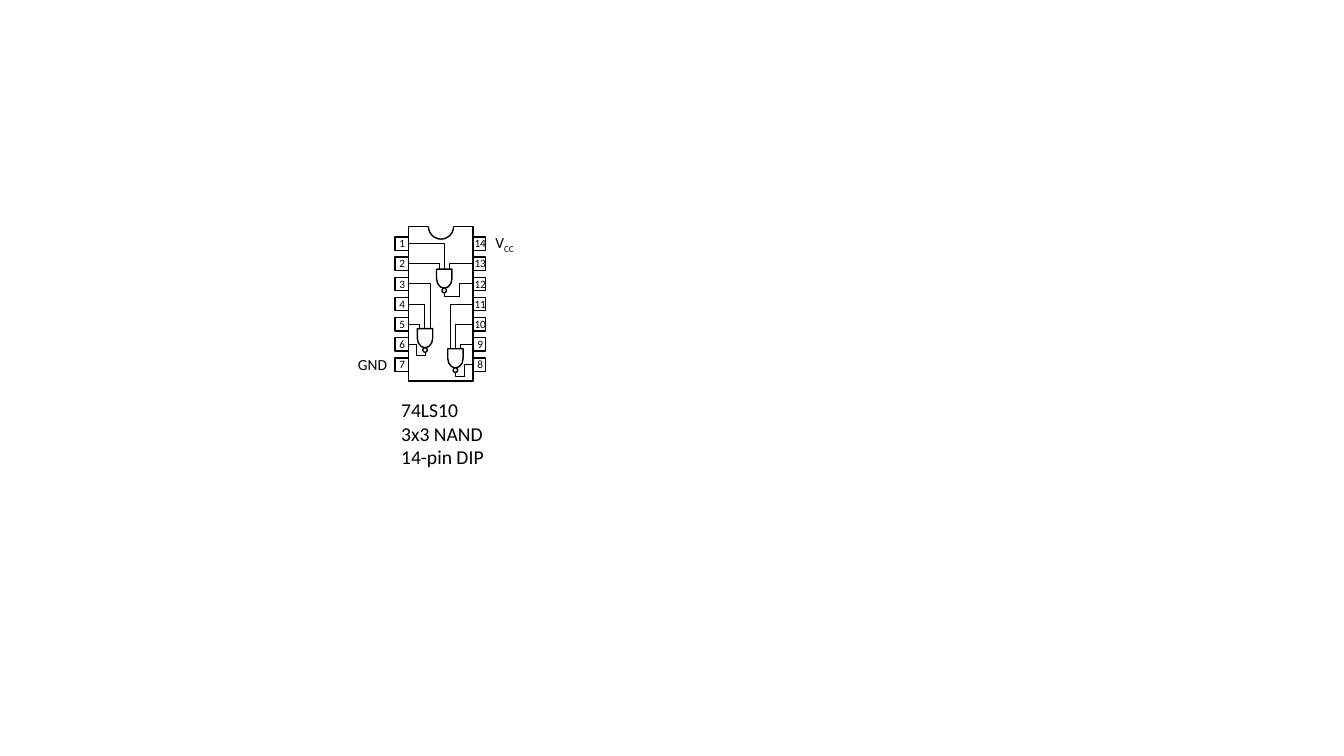
import pptx
import pptx.dml.color
import pptx.enum.shapes
import pptx.enum.text
import pptx.util

Pt = pptx.util.Pt
SHAPE = pptx.enum.shapes.MSO_SHAPE
ALIGN = pptx.enum.text.PP_ALIGN
BLACK = pptx.dml.color.RGBColor(0x00, 0x00, 0x00)
WHITE = pptx.dml.color.RGBColor(0xFF, 0xFF, 0xFF)

PINS_PER_SIDE = 7
PIN_PITCH = 14.4
FIRST_PIN_Y = 174
PIN_HEIGHT = 9.6
BODY_LEFT, BODY_RIGHT = 291.6, 337.8
NOTCH_X = 306
NOTCH_SIZE = 18


def add_outlined(parent, kind, left, top, width, height, fill=WHITE, line=BLACK):
    shape = parent.shapes.add_shape(kind, Pt(left), Pt(top), Pt(width), Pt(height))
    shape.shadow.inherit = False
    if fill is None:
        shape.fill.background()
    else:
        shape.fill.solid()
        shape.fill.fore_color.rgb = fill
    if line is None:
        shape.line.fill.background()
    else:
        shape.line.color.rgb = line
        shape.line.width = Pt(1)
    return shape


def add_text(parent, lines, left, top, width, height, size, align=ALIGN.CENTER):
    box = parent.shapes.add_textbox(Pt(left), Pt(top), Pt(width), Pt(height))
    frame = box.text_frame
    frame.word_wrap = True
    frame.auto_size = pptx.enum.text.MSO_AUTO_SIZE.SHAPE_TO_FIT_TEXT
    frame.text = "\n".join(lines)
    for para in frame.paragraphs:
        para.alignment = align
        para.font.name = "Calibri"
        para.font.size = Pt(size)
        para.font.color.rgb = BLACK
    return box


deck = pptx.Presentation()
deck.slide_width = Pt(960)
deck.slide_height = Pt(540)
page = deck.slides.add_slide(deck.slide_layouts[6])

# Chip package: each pin strip runs behind the body and shows on both sides
chip = page.shapes.add_group_shape()
pin_rows = [FIRST_PIN_Y + row * PIN_PITCH for row in range(PINS_PER_SIDE)]
for pin_y in pin_rows:
    add_outlined(chip, SHAPE.RECTANGLE, 282.2, pin_y - PIN_HEIGHT / 2, 64.8, PIN_HEIGHT, fill=None)
add_outlined(chip, SHAPE.RECTANGLE, BODY_LEFT, 162, BODY_RIGHT - BODY_LEFT, 110.2)
add_outlined(chip, SHAPE.RECTANGLE, NOTCH_X, 157.7, NOTCH_SIZE, 7.9, line=None)
notch = add_outlined(chip, SHAPE.ARC, NOTCH_X, 152.8, NOTCH_SIZE, NOTCH_SIZE, fill=None)
notch.adjustments[0] = 0
notch.adjustments[1] = 108

for left, width, numbers in ((329, 28.1, range(14, 7, -1)), (274.3, 25.9, range(1, 8))):
    for number, pin_y in zip(numbers, pin_rows):
        add_text(chip, [str(number)], left, pin_y - 8.5, width, 17, 8)

supply = add_text(page, ["V"], 344.2, 162.7, 32.4, 20.6, 11)
subscript = supply.text_frame.paragraphs[0].add_run()
subscript.text = "CC"
subscript._r.get_or_add_rPr().set("baseline", "-25000")
add_text(page, ["GND"], 247.7, 249.8, 36.7, 20.6, 11)
add_text(page, ["74LS10", "3x3 NAND", "14-pin DIP"], 279.4, 280.8, 90, 58.3, 14, ALIGN.LEFT)

# Gates: centre x, top y, (offset, row, body edge) per input, (elbow x, row, body edge) of output
GATES = (
    (325.3, 249.1, ((3.6, 5, BODY_RIGHT), (0, 4, BODY_RIGHT), (-3.6, 3, BODY_RIGHT)),
     (331.9, 6, BODY_RIGHT)),
    (303.6, 234.7, ((-3.6, 4, BODY_LEFT), (0, 3, BODY_LEFT), (3.6, 2, BODY_LEFT)),
     (297.4, 5, BODY_LEFT)),
    (317.3, 192.2, ((3.6, 1, BODY_RIGHT), (0, 0, BODY_LEFT), (-3.6, 1, BODY_LEFT)),
     (328.5, 2, BODY_RIGHT)),
)
GATE_LENGTH, GATE_WIDTH, BUBBLE = 13.7, 11, 3.2

for gate_x, gate_y, inputs, (elbow_x, output_row, output_edge) in GATES:
    gate = page.shapes.add_group_shape()
    low_y = gate_y + 19.6
    # Each wire is vertical first, then horizontal
    wires = [(gate_x + offset, gate_y, pin_rows[row], edge) for offset, row, edge in inputs]
    wires.append((gate_x, gate_y + 15.3, low_y, elbow_x))
    wires.append((elbow_x, low_y, pin_rows[output_row], output_edge))
    for start_x, start_y, end_y, end_x in wires:
        outline = gate.shapes.build_freeform(Pt(start_x), Pt(start_y))
        outline.add_line_segments(
            [(Pt(start_x), Pt(end_y)), (Pt(end_x), Pt(end_y))], close=False)
        wire = outline.convert_to_shape()
        wire.shadow.inherit = False
        wire.fill.background()
        wire.line.color.rgb = BLACK
        wire.line.width = Pt(0.75)
    body = add_outlined(gate, SHAPE.FLOWCHART_DELAY, gate_x - GATE_LENGTH / 2,
                        gate_y + (GATE_LENGTH - GATE_WIDTH) / 2, GATE_LENGTH, GATE_WIDTH)
    body.rotation = 90
    add_outlined(gate, SHAPE.OVAL, gate_x - BUBBLE / 2, gate_y + GATE_LENGTH, BUBBLE, BUBBLE)

deck.save("out.pptx")
